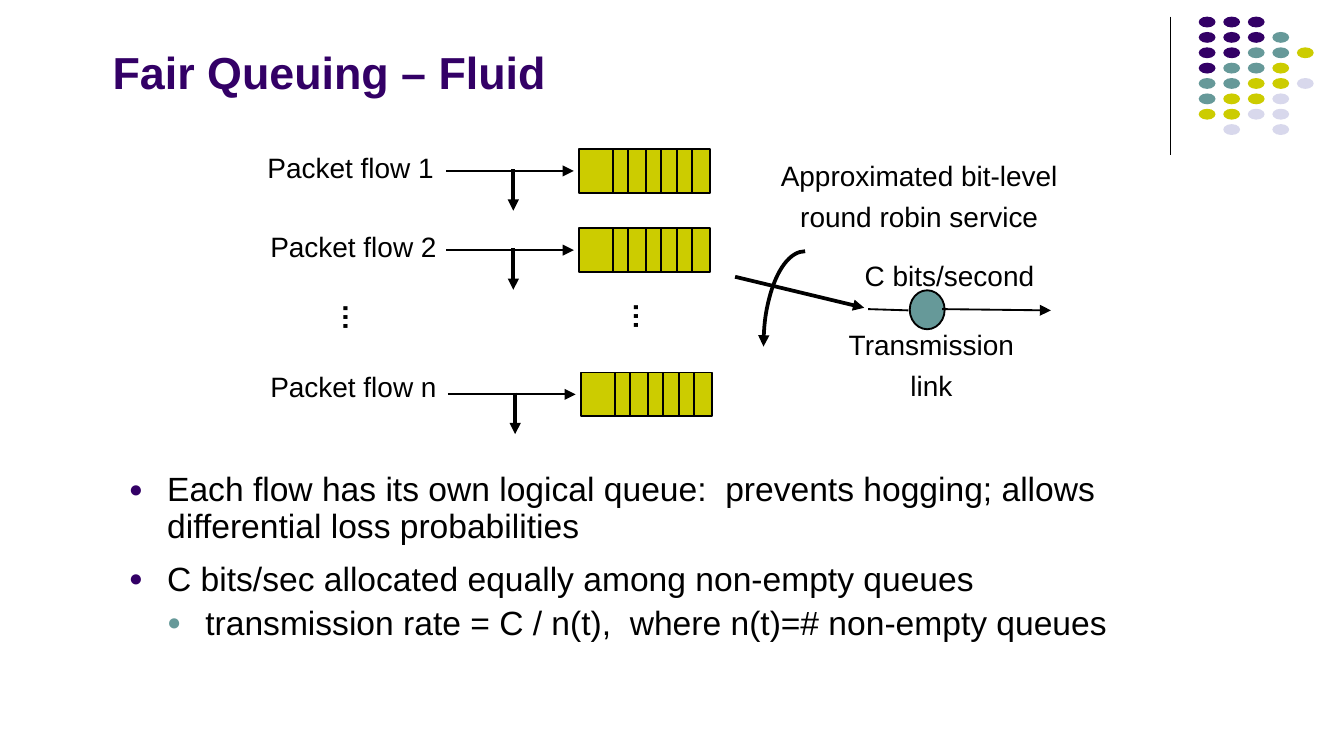
from lxml.etree import SubElement
from pptx import Presentation
from pptx.dml.color import RGBColor
from pptx.enum.shapes import MSO_CONNECTOR as Connector, MSO_SHAPE as Shape
from pptx.enum.text import MSO_ANCHOR as Anchor, PP_ALIGN as Align
from pptx.oxml.ns import qn
from pptx.util import Pt

BLACK = RGBColor(0x00, 0x00, 0x00)
PURPLE = RGBColor(0x33, 0x00, 0x66)
TEAL = RGBColor(0x66, 0x99, 0x99)
YELLOW = RGBColor(0xCC, 0xCC, 0x00)
LAVENDER = RGBColor(0xD8, 0xD8, 0xEC)

DOT_COLORS = {"P": PURPLE, "T": TEAL, "Y": YELLOW, "L": LAVENDER}
DOT_ROWS = ["PPP", "PPPT", "PPTTY", "PTTY", "TTYYL", "TYYL", "YYLL", " L L"]
FLOWS = [
    ("Packet flow 1", 137.5, 77.8, 310.3, 79.9),
    ("Packet flow 2", 139, 120.2, 310.3, 122.3),
    ("Packet flow n", 139, 195.1, 311.3, 199.6),
]
DIVIDERS = [18.2, 26, 36, 44, 52.5, 60.5]
BULLETS = [
    ("Each flow has its own logical queue:  prevents hogging; "
     "allows differential loss probabilities", 0, PURPLE, 0),
    ("C bits/sec allocated equally among non-empty queues", 0, PURPLE, 9),
    ("transmission rate = C / n(t),  where n(t)=# non-empty queues", 1, TEAL, 4),
]


class SlideBuilder:
    font = "Arial"
    label_size = 15
    body_size = 18
    title_size = 24
    bullet_indent = 20.5

    def __init__(self, slide):
        self.slide = slide

    def shape(self, kind, left, top, width, height, fill=None, line_width=None):
        shape = self.slide.shapes.add_shape(
            kind, Pt(left), Pt(top), Pt(width), Pt(height))
        shape.shadow.inherit = False
        if fill is None:
            shape.fill.background()
        else:
            shape.fill.solid()
            shape.fill.fore_color.rgb = fill
        if line_width is None:
            shape.line.fill.background()
        else:
            shape.line.color.rgb = BLACK
            shape.line.width = Pt(line_width)
        return shape

    def arrowhead(self, shape, end):
        line = shape._element.spPr.get_or_add_ln()
        SubElement(line, qn(f"a:{end}"), type="triangle")

    def line(self, x1, y1, x2, y2, width=1.0, arrow=False):
        connector = self.slide.shapes.add_connector(
            Connector.STRAIGHT, Pt(x1), Pt(y1), Pt(x2), Pt(y2))
        connector.line.color.rgb = BLACK
        connector.line.width = Pt(width)
        if arrow:
            self.arrowhead(connector, "tailEnd")
        SubElement(connector._element.spPr, qn("a:effectLst"))

    def arc_arrow(self, left, top, width, height):
        arc = self.shape(Shape.ARC, left, top, width, height, line_width=2)
        arc.adjustments[0] = 108
        arc.adjustments[1] = 162
        self.arrowhead(arc, "headEnd")

    def text_box(self, left, top, width, height, wrap=True):
        box = self.slide.shapes.add_textbox(
            Pt(left), Pt(top), Pt(width), Pt(height))
        box.text_frame.word_wrap = wrap
        return box

    def run(self, paragraph, text, size, color=BLACK, bold=False):
        run = paragraph.add_run()
        run.text = text
        run.font.name = self.font
        run.font.size = Pt(size)
        run.font.color.rgb = color
        run.font.bold = bold

    def title(self, text, left, top, width, height):
        frame = self.text_box(left, top, width, height).text_frame
        frame.vertical_anchor = Anchor.BOTTOM
        self.run(frame.paragraphs[0], text, self.title_size, PURPLE, True)

    def label(self, lines, left, top, width, height, wrap=False):
        frame = self.text_box(left, top, width, height, wrap).text_frame
        frame.margin_left = frame.margin_right = Pt(5)
        frame.margin_top = frame.margin_bottom = Pt(2.7)
        for index, text in enumerate(lines):
            paragraph = frame.add_paragraph() if index else frame.paragraphs[0]
            paragraph.alignment = Align.CENTER
            paragraph.space_before = Pt(4 if index else 0)
            self.run(paragraph, text, self.label_size)

    def ellipsis(self, left, top, width, height):
        box = self.text_box(left, top, width, height)
        box.rotation = 270
        paragraph = box.text_frame.paragraphs[0]
        paragraph.alignment = Align.CENTER
        self.run(paragraph, "…", self.label_size, bold=True)

    def bullet_list(self, items, left, top, width, height):
        frame = self.text_box(left, top, width, height).text_frame
        for index, (text, level, color, space) in enumerate(items):
            paragraph = frame.add_paragraph() if index else frame.paragraphs[0]
            paragraph.level = level
            paragraph.line_spacing = 0.9
            paragraph.space_before = Pt(space)
            properties = paragraph._p.get_or_add_pPr()
            properties.set("marL", str(Pt(self.bullet_indent * (level + 1))))
            properties.set("indent", str(-Pt(self.bullet_indent)))
            bullet_color = SubElement(properties, qn("a:buClr"))
            SubElement(bullet_color, qn("a:srgbClr"), val=str(color))
            SubElement(properties, qn("a:buSzPct"), val="70000")
            SubElement(properties, qn("a:buFont"), typeface=self.font)
            SubElement(properties, qn("a:buChar"), char="●")
            self.run(paragraph, text, self.body_size)

    def dot_grid(self, left, top):
        for row, codes in enumerate(DOT_ROWS):
            for column, code in enumerate(codes):
                if code in DOT_COLORS:
                    self.shape(Shape.OVAL, left + 13.15 * column,
                               top + 8.23 * row, 9, 5.8, DOT_COLORS[code])

    def queue(self, left, top):
        height = 23.5
        self.shape(Shape.RECTANGLE, left, top, 70, height, YELLOW, 1)
        for offset in DIVIDERS:
            self.line(left + offset, top, left + offset, top + height)
        self.line(left - 71.3, top + 11.7, left - 2.9, top + 11.7, arrow=True)
        self.line(left - 35.3, top + 10.8, left - 35.3, top + 33,
                  width=2, arrow=True)


def main():
    presentation = Presentation()
    presentation.slide_width = Pt(720)
    presentation.slide_height = Pt(405)
    builder = SlideBuilder(
        presentation.slides.add_slide(presentation.slide_layouts[6]))

    builder.line(627.1, 8.9, 627.1, 82.8, width=0.75)
    builder.dot_grid(642.2, 8.9)
    builder.title("Fair Queuing – Fluid", 53.3, 21.6, 528.5, 34.6)
    builder.bullet_list(BULLETS, 62, 249.8, 592, 100)

    for name, label_left, label_top, queue_left, queue_top in FLOWS:
        builder.label([name], label_left, label_top, 100.8, 23.8)
        builder.queue(queue_left, queue_top)
    builder.ellipsis(155.5, 157.5, 49.7, 25.2)
    builder.ellipsis(311, 157, 49.7, 25.2)

    builder.label(["Approximated bit-level", "round robin service"],
                  380.9, 82.1, 223.2, 45.4, wrap=True)
    builder.label(["C bits/second"], 457.2, 136.1, 103, 23.8)
    builder.label(["Transmission", "link"], 448.6, 172.8, 100.8, 45.4)
    builder.line(393.8, 148.3, 463, 164.9, width=2, arrow=True)
    builder.arc_arrow(409, 134.6, 44.6, 102.2)
    builder.line(465.1, 165.6, 486.7, 166.3)
    builder.shape(Shape.OVAL, 487.4, 155.5, 18.7, 20.9, TEAL, 1)
    builder.line(504.7, 165.6, 563, 166.3, arrow=True)

    presentation.save("out.pptx")


if __name__ == "__main__":
    main()
